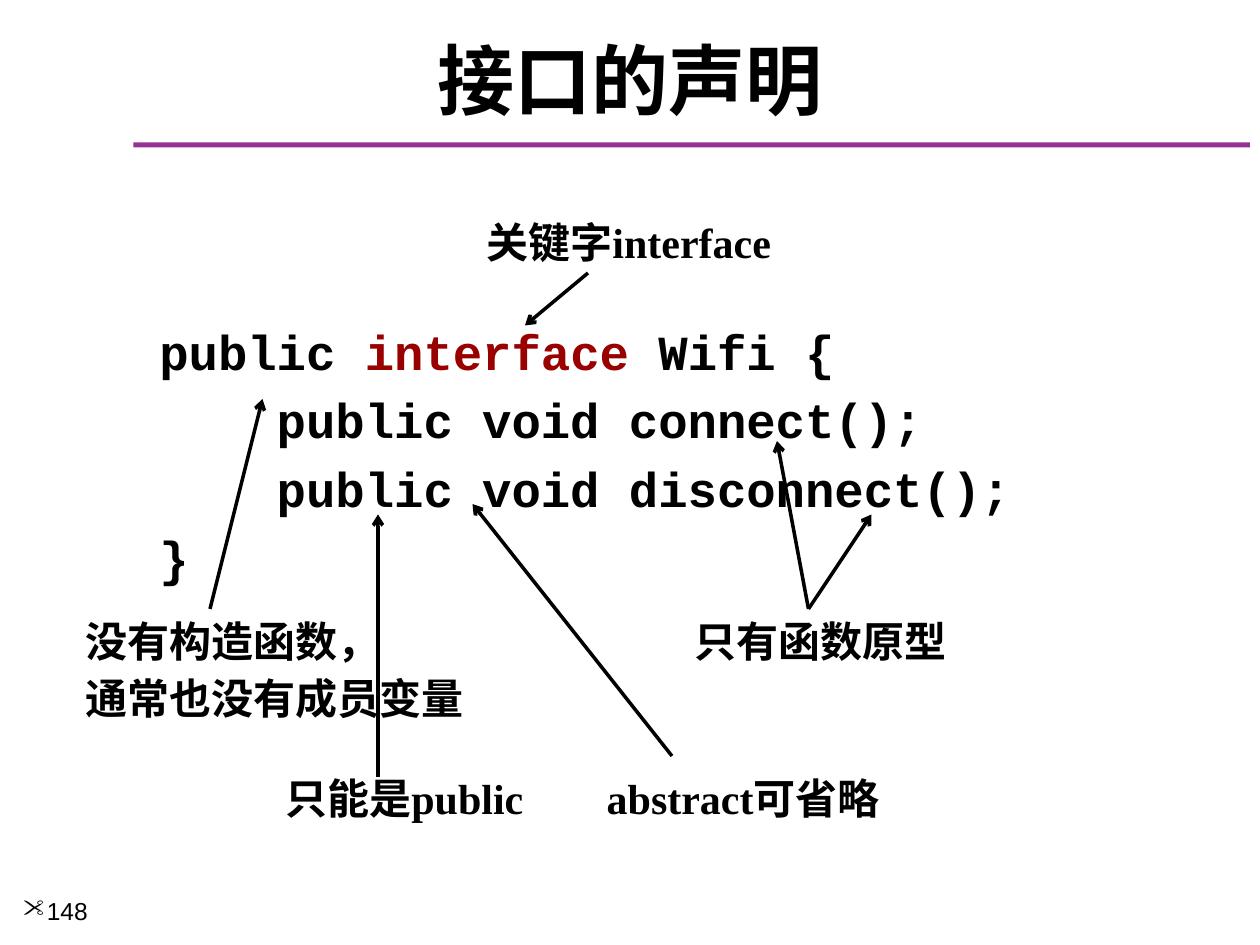
from lxml.etree import SubElement as Sub
from pptx import Presentation
from pptx.dml.color import RGBColor
from pptx.enum.shapes import MSO_CONNECTOR as Conn, MSO_SHAPE as Form
from pptx.enum.text import MSO_ANCHOR as Anchor, PP_ALIGN as Align
from pptx.oxml.ns import qn
from pptx.util import Inches, Pt

BLACK = RGBColor(0x00, 0x00, 0x00)
RED = RGBColor(0x99, 0x00, 0x00)
PURPLE = RGBColor(0x97, 0x30, 0x95)

SANS, SERIF, MONO = "Arial", "Times New Roman", "Courier New"
HEAD = "Noto Sans CJK SC"

CODE = [
    [("public ", BLACK), ("interface", RED), (" Wifi {", BLACK)],
    "    public void connect();",
    "    public void disconnect();",
    "}",
]

# Notes: column, row, width in columns, lines
NOTES = [
    (45.15, 20, 29.9, ["关键字interface"]),
    (65, 58, 27, ["只有函数原型"]),
    (7, 58, 39, ["没有构造函数，", "通常也没有成员变量"]),
    (26, 73, 25.3, ["只能是public"]),
    (56.6, 73, 28.8, ["abstract可省略"]),
]

# Arrows: start column and row, end column and row
ARROWS = [
    (56, 26, 50, 31),
    (77, 58, 74, 42),
    (77, 58, 83, 49),
    (20, 58, 25, 38),
    (36, 74, 36, 49),
    (64, 72, 45, 48),
]


def unit(n):
    """Length of n grid steps, twelve to the inch."""
    return Inches(n / 12)


def bullet(para, char, face, gap):
    props = para._p.get_or_add_pPr()
    props.set("marL", str(gap))
    props.set("indent", str(-gap))
    Sub(props, qn("a:buFont")).set("typeface", face)
    Sub(props, qn("a:buChar")).set("char", char)


def text(slide, box, lines, font=SERIF, size=24, bold=True, gap=0,
         align=Align.LEFT, anchor=Anchor.TOP, mark=None):
    frame = slide.shapes.add_textbox(*map(unit, box)).text_frame
    frame.word_wrap = True
    frame.vertical_anchor = anchor
    for i, line in enumerate(lines):
        para = frame.add_paragraph() if i else frame.paragraphs[0]
        para.alignment = align
        if i:
            para.space_before = Pt(gap)
        if mark:
            bullet(para, *mark, Inches(0.19))
        parts = [(line, BLACK)] if isinstance(line, str) else line
        for words, color in parts:
            run = para.add_run()
            run.text = words
            run.font.name = font
            run.font.size = Pt(size)
            run.font.bold = bold
            run.font.color.rgb = color


def rule(slide):
    bar = slide.shapes.add_shape(
        Form.RECTANGLE, Inches(1.06), Inches(1.13), Inches(8.86), Inches(0.04))
    bar.shadow.inherit = False
    bar.fill.solid()
    bar.fill.fore_color.rgb = PURPLE
    bar.line.fill.background()


def arrow(slide, ends):
    link = slide.shapes.add_connector(Conn.STRAIGHT, *map(unit, ends))
    link.line.color.rgb = BLACK
    link.line.width = Pt(2)
    Sub(link.line._get_or_add_ln(), qn("a:tailEnd")).set("type", "arrow")
    Sub(link._element.spPr, qn("a:effectLst"))


def main():
    deck = Presentation()
    deck.slide_width, deck.slide_height = Inches(10), Inches(7.5)
    slide = deck.slides.add_slide(deck.slide_layouts[6])

    # Heading and page number
    rule(slide)
    text(slide, (1, 84.75, 13, 5.25), ["148"], font=SANS, size=14, bold=False,
         mark=('"', "Wingdings"))
    text(slide, (2, 3, 116, 9), ["接口的声明"], font=HEAD, size=44,
         align=Align.CENTER, anchor=Anchor.MIDDLE)

    # Code with its notes
    text(slide, (14, 30, 84, 27), CODE, font=MONO, size=28, gap=5.6)
    for left, top, width, lines in NOTES:
        text(slide, (left, top, width, 6 * len(lines)), lines, gap=4)
    for ends in ARROWS:
        arrow(slide, ends)

    deck.save("out.pptx")


if __name__ == "__main__":
    main()
